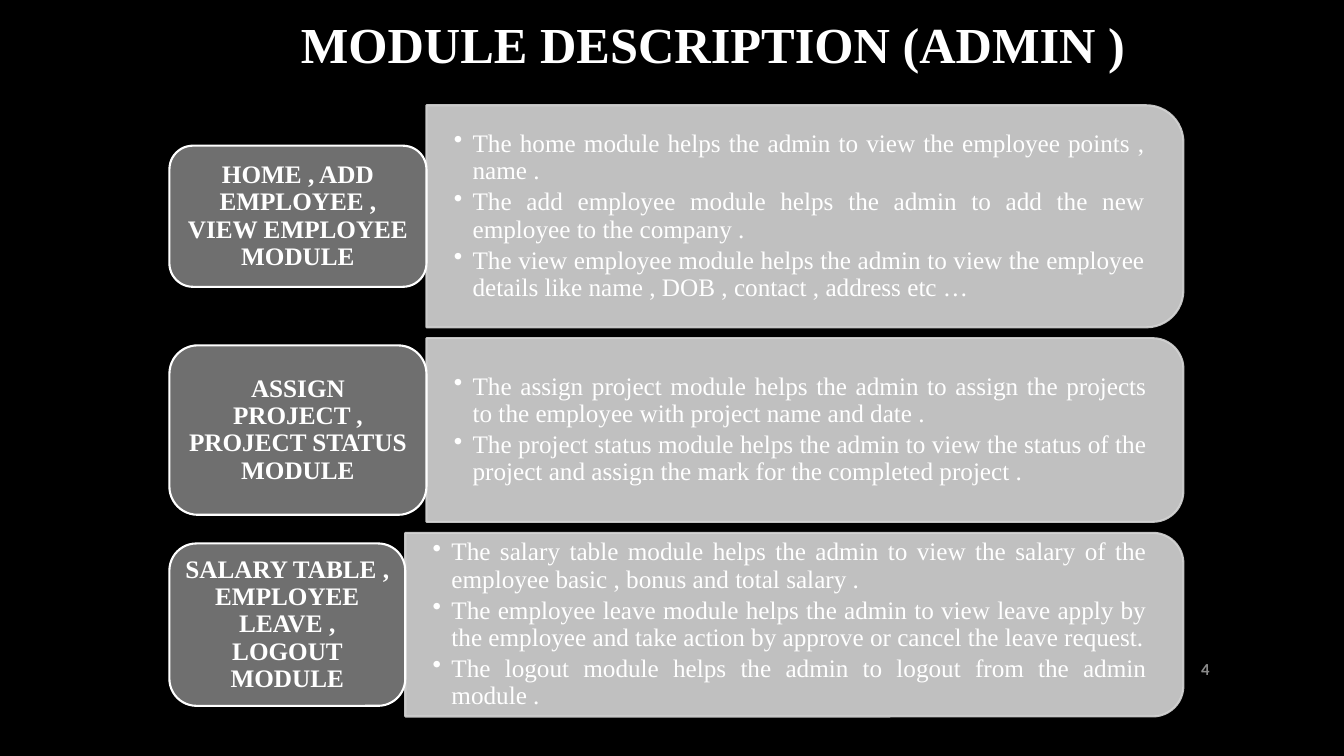
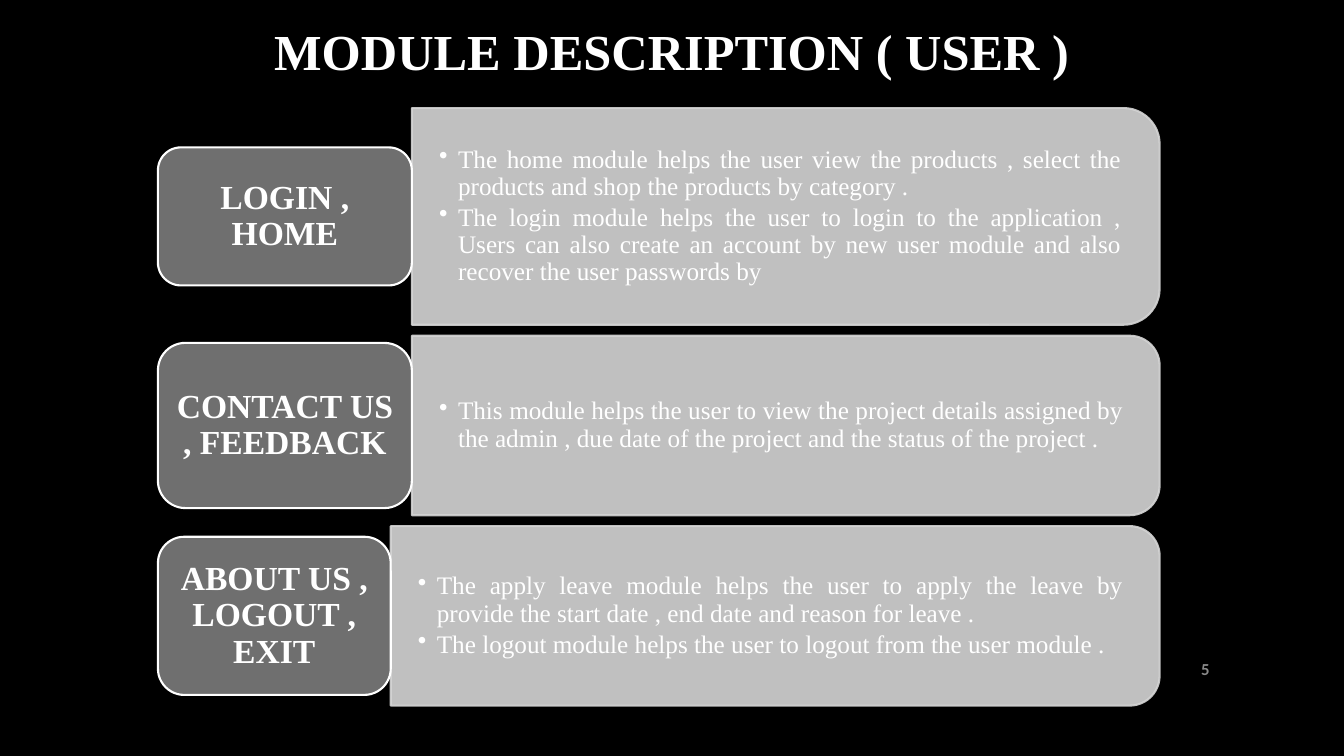
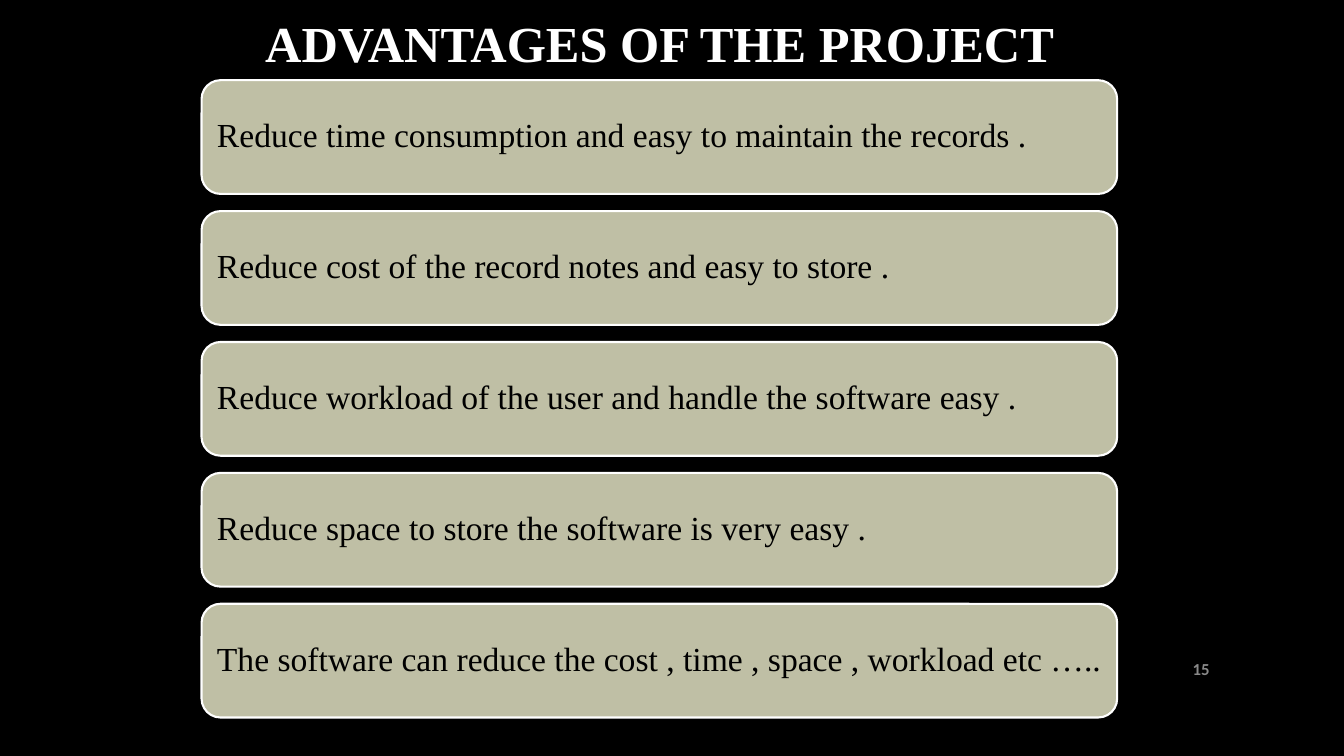
import pptx
import pptx.util
import pptx.dml.color
import pptx.enum.shapes
import pptx.enum.text
import pptx.oxml
import pptx.oxml.ns

Pt = pptx.util.Pt
Shape = pptx.enum.shapes.MSO_SHAPE
Align = pptx.enum.text.PP_ALIGN
Anchor = pptx.enum.text.MSO_ANCHOR

COLORS = {
    "background": "000000",
    "white": "FFFFFF",
    "black": "000000",
    "panel": "D5D5D5",
    "label": "6F6F6F",
    "advantage": "BFBFA5",
    "number": "898989",
}
SERIF = "Times New Roman"
TITLE_FONT = {"name": SERIF, "size": Pt(36), "bold": True}
BULLET_FONT = {"name": SERIF, "size": Pt(18), "bold": False}
ADVANTAGE_FONT = {"name": SERIF, "size": Pt(24), "bold": False}
NUMBER_FONT = {"name": "Calibri", "size": Pt(12), "bold": True}
PANEL_GAP = 7.8
BULLET_INDENT = 13.5

# Per slide: title and its box, number, diagram edges, and rows of
# (panel height, label width, label height, label, bullets)
MODULE_SLIDES = [
    {
        "title": "MODULE DESCRIPTION (ADMIN )", "title_box": (147.6, 5.8, 723.6, 51),
        "number": "4", "left": 121, "right": 845.3, "top": 75.2,
        "label_size": 18, "label_insets": (5, 2.9),
        "rows": [
            (158.6, 183.6, 100.8, "HOME , ADD EMPLOYEE , VIEW EMPLOYEE MODULE", [
                "The home module helps the admin to view the employee points , name .",
                "The add employee module helps the admin to add the new employee to the company .",
                "The view employee module helps the admin to view the employee details like name , "
                "DOB , contact , address etc …"]),
            (131.2, 183.6, 121, "ASSIGN PROJECT , PROJECT STATUS MODULE", [
                "The assign project module helps the admin to assign the projects to the employee "
                "with project name and date .",
                "The project status module helps the admin to view the status of the project and "
                "assign the mark for the completed project ."]),
            (131.2, 168.5, 116, "SALARY TABLE , EMPLOYEE LEAVE , LOGOUT MODULE", [
                "The salary table module helps the admin to view the salary of the employee basic , "
                "bonus and total salary .",
                "The employee leave module helps the admin to view leave apply by the employee and "
                "take action by approve or cancel the leave request.",
                "The logout module helps the admin to logout from the admin module ."]),
        ],
    },
    {
        "title": "MODULE DESCRIPTION ( USER )", "title_box": (182.9, 10.8, 594, 51),
        "number": "5", "left": 112.8, "right": 828.3, "top": 77.2,
        "label_size": 24, "label_insets": (7.2, 3.6),
        "rows": [
            (154.8, 181.4, 98.6, "LOGIN , HOME", [
                "The home module helps the user view the products , select the products and shop "
                "the products by category .",
                "The login module helps the user to login to the application , Users can also create "
                "an account by new user module and also recover the user passwords by"]),
            (128.2, 181.4, 118, "CONTACT US , FEEDBACK", [
                "This module helps the user to view the project details assigned by the admin , "
                "due date of the project and the status of the project ."]),
            (128.2, 166.3, 113, "ABOUT US , LOGOUT , EXIT", [
                "The apply leave module helps the user to apply the leave by provide the start date , "
                "end date and reason for leave .",
                "The logout module helps the user to logout from the user module ."]),
        ],
    },
]
ADVANTAGES = [
    "Reduce time consumption and easy to maintain the records .",
    "Reduce cost of the record notes and easy to store .",
    "Reduce workload of the user and handle the software easy .",
    "Reduce space to store the software is very easy .",
    "The software can reduce the cost , time , space , workload etc …..",
]


def write_text(holder, lines, font, color, align, anchor=Anchor.MIDDLE,
               insets=(7.2, 3.6), spacing=0.9, bullets=False):
    frame = holder.text_frame
    across, down = Pt(insets[0]), Pt(insets[1])
    frame_format = {"word_wrap": True, "auto_size": pptx.enum.text.MSO_AUTO_SIZE.NONE,
                    "vertical_anchor": anchor, "margin_left": across, "margin_right": across,
                    "margin_top": down, "margin_bottom": down}
    for key, value in frame_format.items():
        setattr(frame, key, value)
    for index, line in enumerate(lines):
        paragraph = frame.paragraphs[0] if index == 0 else frame.add_paragraph()
        if bullets:
            properties = paragraph._p.get_or_add_pPr()
            properties.set("marL", str(Pt(BULLET_INDENT)))
            properties.set("indent", str(-Pt(BULLET_INDENT)))
            properties.append(pptx.oxml.parse_xml(
                f'<a:buChar {pptx.oxml.ns.nsdecls("a")} char="•"/>'))
            paragraph.space_after = Pt(2.7)
        paragraph.alignment = align
        paragraph.line_spacing = spacing
        run = paragraph.add_run()
        run.text = line
        for key, value in font.items():
            setattr(run.font, key, value)
        run.font.color.rgb = pptx.dml.color.RGBColor.from_string(COLORS[color])


def add_card(slide, preset, box, fill, line, opacity=None):
    card = slide.shapes.add_shape(preset, *map(Pt, box))
    card.shadow.inherit = False
    card.line.width = Pt(1.5)
    card.fill.solid()
    card.line.fill.solid()
    for paint, color in ((card.fill, fill), (card.line.fill, line)):
        paint.fore_color.rgb = pptx.dml.color.RGBColor.from_string(COLORS[color])
    if opacity:
        for tone in card._element.spPr.iter(pptx.oxml.ns.qn("a:srgbClr")):
            tone.append(pptx.oxml.parse_xml(
                f'<a:alpha {pptx.oxml.ns.nsdecls("a")} val="{opacity * 1000}"/>'))
    return card


presentation = pptx.Presentation()
presentation.slide_width, presentation.slide_height = Pt(960), Pt(540)
backdrop = presentation.slide_master.background.fill
backdrop.solid()
backdrop.fore_color.rgb = pptx.dml.color.RGBColor.from_string(COLORS["background"])

# Titles and page numbers on every slide
ADVANTAGES_SLIDE = {"title": "ADVANTAGES OF THE PROJECT",
                    "title_box": (179.3, 5, 584, 51), "number": "15"}
slides = []
for content in MODULE_SLIDES + [ADVANTAGES_SLIDE]:
    slide = presentation.slides.add_slide(presentation.slide_layouts[5])
    title = slide.shapes.title
    for side, length in zip(("left", "top", "width", "height"), content["title_box"]):
        setattr(title, side, Pt(length))
    write_text(title, [content["title"]], TITLE_FONT, "white", Align.CENTER,
               Anchor.TOP, spacing=1.0)
    page_number = slide.shapes.add_textbox(Pt(828), Pt(463), Pt(43.2), Pt(28.8))
    write_text(page_number, [content["number"]], NUMBER_FONT, "number", Align.RIGHT, spacing=1.0)
    slides.append(slide)

# Module slides: a label beside a panel of bullets, row by row
for slide, content in zip(slides, MODULE_SLIDES):
    top = content["top"]
    label_font = {"name": SERIF, "size": Pt(content["label_size"]), "bold": True}
    for height, label_width, label_height, module, duties in content["rows"]:
        panel_left = content["left"] + label_width
        panel_width = content["right"] - panel_left
        middle = top + height / 2

        # The panel is turned a quarter, so its box is laid out around its centre
        centre = panel_left + panel_width / 2
        panel = add_card(slide, Shape.ROUND_2_SAME_RECTANGLE,
                         (centre - height / 2, middle - panel_width / 2, height, panel_width),
                         "panel", "panel", opacity=90)
        panel.rotation = 90
        corner = height * 0.05
        duty_list = slide.shapes.add_textbox(
            Pt(panel_left), Pt(top + corner), Pt(panel_width - corner), Pt(height - 2 * corner))
        write_text(duty_list, duties, BULLET_FONT, "white", Align.JUSTIFY,
                   insets=(19.5, 9.75), bullets=True)

        label = add_card(slide, Shape.ROUNDED_RECTANGLE,
                         (content["left"], middle - label_height / 2, label_width, label_height),
                         "label", "white")
        write_text(label, [module], label_font, "white", Align.CENTER,
                   insets=content["label_insets"])
        top += height + PANEL_GAP

# Advantages: equal cards in one column
for row, advantage in enumerate(ADVANTAGES):
    card = add_card(slides[-1], Shape.ROUNDED_RECTANGLE,
                    (144, 57.3 + row * 93.5, 654, 81.2), "advantage", "white")
    write_text(card, [advantage], ADVANTAGE_FONT, "black", Align.LEFT, insets=(7.2, 7.2))

presentation.save("out.pptx")
